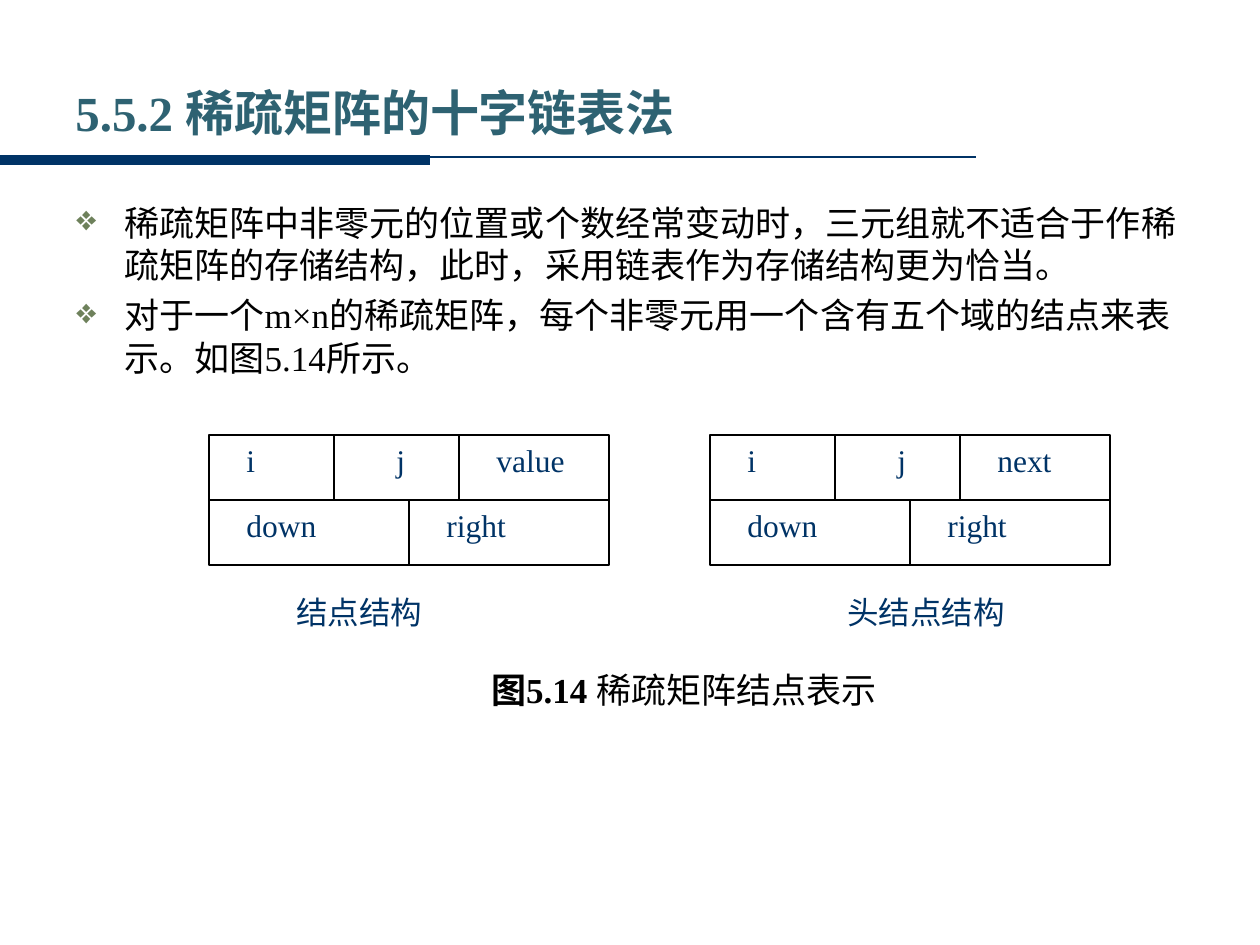
from lxml import etree
from pptx import Presentation
from pptx.dml.color import RGBColor
from pptx.enum.shapes import MSO_CONNECTOR, MSO_SHAPE
from pptx.enum.text import MSO_ANCHOR, PP_ALIGN
from pptx.oxml.ns import qn
from pptx.util import Pt

PX = 914400 / 126
STRAIGHT = MSO_CONNECTOR.STRAIGHT
RECTANGLE = MSO_SHAPE.RECTANGLE
TOP, MIDDLE = MSO_ANCHOR.TOP, MSO_ANCHOR.MIDDLE
LEFT, CENTER, JUSTIFY = PP_ALIGN.LEFT, PP_ALIGN.CENTER, PP_ALIGN.JUSTIFY
SERIF, SANS = "Times New Roman", "DejaVu Sans"
NAVY, TEAL, OLIVE, BLACK, WHITE = "003366", "2E6272", "6E815B", "000000", "FFFFFF"

# Node diagram grid
UNIT, ROW = 25, 65
NODE_WIDTH, NODE_TOP = 16 * UNIT, 435


def px(length):
    return round(length * PX)


def color(value):
    return RGBColor.from_string(value)


def add_line(page, x1, y1, x2, y2, stroke=BLACK, width=0.75):
    line = page.shapes.add_connector(STRAIGHT, px(x1), px(y1), px(x2), px(y2))
    line.line.color.rgb = color(stroke)
    line.line.width = Pt(width)
    etree.SubElement(line._element.spPr, qn("a:effectLst"))
    return line


def add_bullet(para, sign, tint):
    properties = para._p.get_or_add_pPr()
    properties.set("marL", str(px(48)))
    properties.set("indent", str(-px(48)))
    bullet_color = etree.SubElement(properties, qn("a:buClr"))
    etree.SubElement(bullet_color, qn("a:srgbClr"), val=tint)
    etree.SubElement(properties, qn("a:buChar"), char=sign)


def add_span(para, text, size=18, tint=NAVY, font=SERIF, bold=False):
    span = para.add_run()
    span.text = text
    span.font.size = Pt(size)
    span.font.name = font
    span.font.bold = bold
    span.font.color.rgb = color(tint)


def add_box(page, left, top, width, height, anchor=TOP):
    frame = page.shapes.add_textbox(px(left), px(top), px(width), px(height)).text_frame
    frame.word_wrap = True
    frame.vertical_anchor = anchor
    return frame


def add_text(page, left, top, width, height, spans, align=JUSTIFY, anchor=TOP):
    """Each span is a text and a dict of its format."""
    para = add_box(page, left, top, width, height, anchor).paragraphs[0]
    para.alignment = align
    for text, style in spans:
        add_span(para, text, **style)


def add_bullets(page, left, top, width, height, items):
    frame = add_box(page, left, top, width, height)
    for index, item in enumerate(items):
        para = frame.add_paragraph() if index else frame.paragraphs[0]
        add_bullet(para, "❖", OLIVE)
        if index:
            para.space_before = Pt(5)
        add_span(para, item, size=20, tint=BLACK)


def add_node(page, left, last_field, caption, caption_left):
    right, middle, bottom = left + NODE_WIDTH, NODE_TOP + ROW, NODE_TOP + 2 * ROW
    frame = page.shapes.add_shape(
        RECTANGLE, px(left), px(NODE_TOP), px(NODE_WIDTH), px(2 * ROW))
    frame.shadow.inherit = False
    frame.fill.solid()
    frame.fill.fore_color.rgb = color(WHITE)
    frame.line.color.rgb = color(BLACK)
    frame.line.width = Pt(0.75)

    # Dividers
    row_line = add_line(page, left, middle, right, middle)
    row_line.begin_connect(frame, 1)
    row_line.end_connect(frame, 3)
    for column in (5, 10):
        x = left + column * UNIT
        add_line(page, x, NODE_TOP, x, middle)
    center = left + NODE_WIDTH // 2
    add_line(page, center, middle, center, bottom).end_connect(frame, 2)

    # Fields: text, row, offset and width in units
    fields = [("i", 0, 1, 3), ("j", 0, 7, 2), (last_field, 0, 11, 5),
              ("down", 1, 1, 6), ("right", 1, 9, 6)]
    for text, row, offset, width in fields:
        add_text(page, left + offset * UNIT, NODE_TOP + row * ROW,
                 width * UNIT, ROW, [(text, {})])
    add_text(page, caption_left, 587, 8 * UNIT, ROW, [(caption, {})])


def main():
    deck = Presentation()
    deck.slide_width, deck.slide_height = px(1260), px(945)
    page = deck.slides.add_slide(deck.slide_layouts[6])

    # Title and its rule
    add_line(page, 0, 157, 976, 157, stroke=NAVY, width=1.5)
    add_line(page, 0, 160, 430, 160, stroke=NAVY, width=6)
    heading = dict(size=28, tint=TEAL, bold=True)
    add_text(page, 63, 73, 1061, 78,
             [("5.5.2 稀疏矩阵", heading), ("的十字链表法", dict(heading, font=SANS))],
             align=LEFT, anchor=MIDDLE)

    # Explanation
    add_bullets(page, 64, 195, 1134, 208, [
        "稀疏矩阵中非零元的位置或个数经常变动时，三元组就不适合于作稀疏矩阵的存储结构，"
        "此时，采用链表作为存储结构更为恰当。",
        "对于一个m×n的稀疏矩阵，每个非零元用一个含有五个域的结点来表示。如图5.14所示。",
    ])

    # Node structures
    add_node(page, 209, "value", "结点结构", 284)
    add_node(page, 710, "next", "头结点结构", 835)

    # Figure caption
    label = dict(size=20, tint=BLACK)
    add_text(page, 441, 662, 486, 49,
             [("图5.14 ", dict(label, bold=True)), ("稀疏矩阵结点表示", label)], align=CENTER)

    deck.save("out.pptx")


if __name__ == "__main__":
    main()
